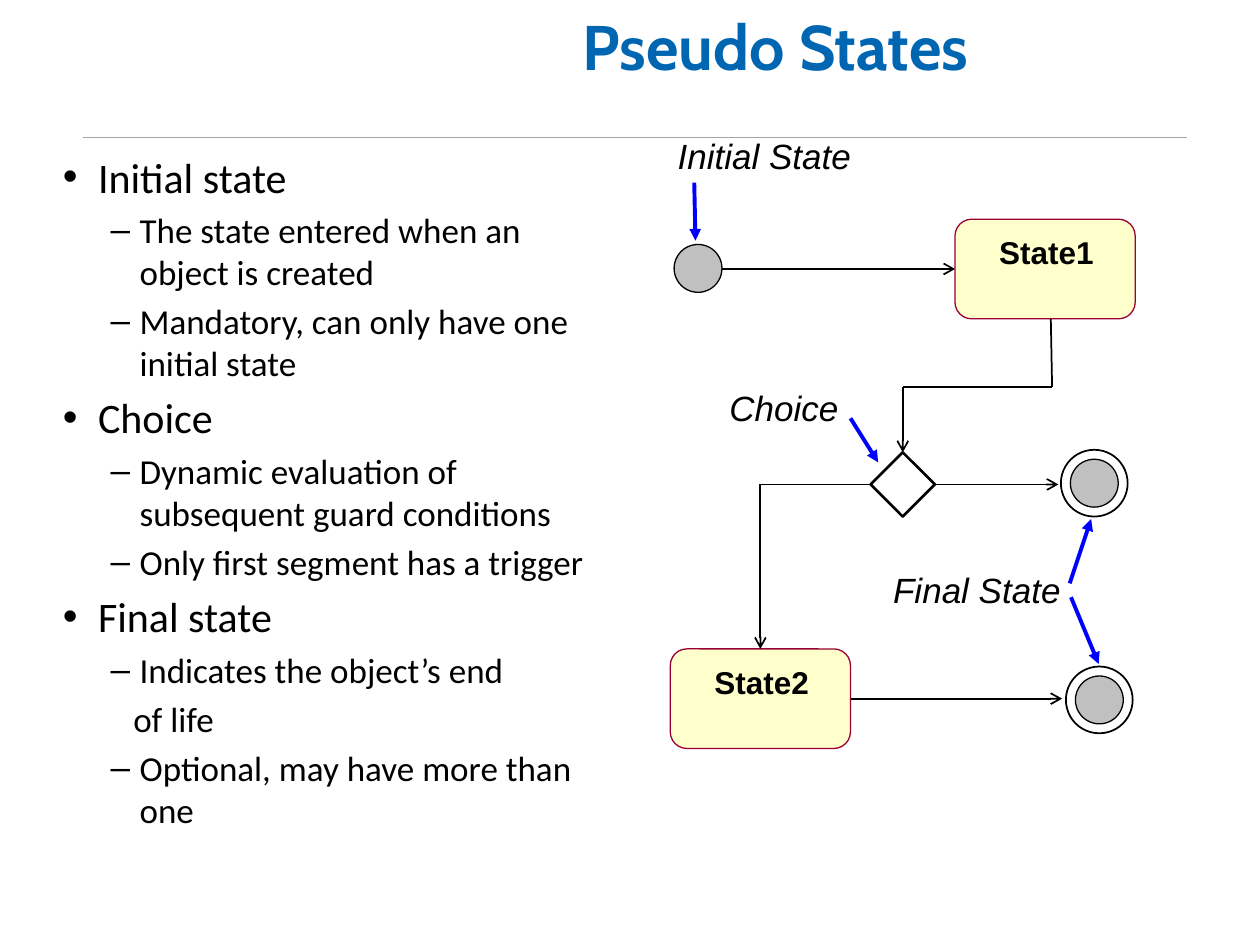
from lxml.etree import SubElement
from pptx import Presentation
from pptx.dml.color import RGBColor
from pptx.enum.shapes import MSO_CONNECTOR, MSO_SHAPE as Shape
from pptx.enum.text import MSO_ANCHOR, PP_ALIGN as Align
from pptx.oxml.ns import qn
from pptx.util import Inches, Pt

# Content
TITLE = "Pseudo States"
# (style, text)
OUTLINE = [
    ("topic", "Initial state"),
    ("point", "The state entered when an object is created"),
    ("point", "Mandatory, can only have one initial state"),
    ("topic", "Choice"),
    ("point", "Dynamic evaluation of subsequent guard conditions"),
    ("point", "Only first segment has a trigger"),
    ("topic", "Final state"),
    ("point", "Indicates the object’s end"),
    ("more", "of life"),
    ("point", "Optional, may have more than one"),
]
# style: (size, left margin, first-line indent, bullet)
STYLES = {
    "topic": (24, 0.28, -0.28, "•"),
    "point": (20, 0.61, -0.23, "–"),
    "more": (20, 0.61, -0.05, None),
}
STATES = {"State1": (7.58, 1.74), "State2": (5.32, 5.15)}
FINALS = [(8.42, 3.57), (8.46, 5.29)]
CAPTIONS = [
    ("Initial State", 5.28, 1.02, 1.8),
    ("Choice", 5.69, 3.02, 1.2),
    ("Final State", 6.99, 4.46, 1.7),
]
POINTERS = [
    ((5.51, 1.45), (5.52, 1.91)),
    ((6.75, 3.32), (6.97, 3.67)),
    ((8.5, 4.74), (8.72, 5.27)),
    ((8.49, 4.63), (8.66, 4.12)),
]

COLORS = {
    "title": "0066B2", "rule": "A6A6A6", "ink": "000000", "pointer": "0000FF",
    "state": "FFFFCC", "state_edge": "990033", "core": "C0C0C0",
}
STATE_W, STATE_H = 1.43, 0.79
CORE, RING, DIAMOND = 0.38, 0.53, 0.51
CHOICE_X, CHOICE_Y = 6.91, 3.59
TOP, LEFT, BOTTOM, RIGHT = range(4)

prs = Presentation()
prs.slide_width, prs.slide_height = Inches(10), Inches(7.5)
slide = prs.slides.add_slide(prs.slide_layouts[6])


def rgb(name):
    return RGBColor.from_string(COLORS[name])


def add_text(text, x, y, w, h, size, font="Arial", color="ink",
             bold=False, italic=False, align=Align.LEFT):
    frame = slide.shapes.add_textbox(*map(Inches, (x, y, w, h))).text_frame
    frame.word_wrap = True
    frame.vertical_anchor = MSO_ANCHOR.TOP
    frame.text = text
    for paragraph in frame.paragraphs:
        paragraph.alignment = align
        face = paragraph.runs[0].font
        face.name, face.size = font, Pt(size)
        face.bold, face.italic = bold, italic
        face.color.rgb = rgb(color)
    return frame


def add_node(kind, x, y, w, h, fill=None, edge="ink", weight=0.75):
    node = slide.shapes.add_shape(kind, *map(Inches, (x, y, w, h)))
    node.shadow.inherit = False
    if fill:
        node.fill.solid()
        node.fill.fore_color.rgb = rgb(fill)
    else:
        node.fill.background()
    node.line.color.rgb = rgb(edge)
    node.line.width = Pt(weight)
    return node


def add_line(start, end, color="ink", weight=1, arrow=None, source=None, target=None):
    line = slide.shapes.add_connector(
        MSO_CONNECTOR.STRAIGHT, *map(Inches, (*start, *end)))
    line.line.color.rgb = rgb(color)
    line.line.width = Pt(weight)
    if arrow:
        SubElement(line.line._get_or_add_ln(), qn("a:tailEnd"), type=arrow)
    SubElement(line._element.spPr, qn("a:effectLst"))
    if source:
        line.begin_connect(*source)
    if target:
        line.end_connect(*target)


# Title and rule
add_line((0.66, 1.09), (9.42, 1.09), "rule", 0.75)
add_text(TITLE, 2.43, 0.01, 7.45, 1.15, 36, "Cabin", "title", bold=True, align=Align.CENTER)

# Outline
outline = add_text("\n".join(text for _, text in OUTLINE),
                   0.4, 1.15, 4.56, 5.52, 20, "Calibri")
for paragraph, (style, _) in zip(outline.paragraphs, OUTLINE):
    size, margin, indent, bullet = STYLES[style]
    paragraph.runs[0].font.size = Pt(size)
    paragraph.space_before = Pt(size * 0.2)
    props = paragraph._p.get_or_add_pPr()
    props.set("marL", str(Inches(margin)))
    props.set("indent", str(Inches(indent)))
    if bullet:
        SubElement(props, qn("a:buFont"), typeface="Arial")
        SubElement(props, qn("a:buChar"), char=bullet)
    else:
        SubElement(props, qn("a:buNone"))

# States, initial state, choice and final states
states = {}
for name, (x, y) in STATES.items():
    states[name] = add_node(Shape.ROUNDED_RECTANGLE, x, y, STATE_W, STATE_H,
                            "state", "state_edge")
    add_text(name, x + 0.14, y + 0.06, 1.17, 0.4, 18, bold=True, align=Align.CENTER)
add_node(Shape.OVAL, 5.35, 1.94, CORE, CORE, "core")
choice = add_node(Shape.DIAMOND, CHOICE_X, CHOICE_Y, DIAMOND, DIAMOND, weight=1.5)
for x, y in FINALS:
    inset = (RING - CORE) / 2
    add_node(Shape.OVAL, x + inset, y + inset, CORE, CORE, "core")
    add_node(Shape.OVAL, x, y, RING, RING, weight=1)

# Transitions, level with the middles of the nodes they join
state1, state2 = states["State1"], states["State2"]
row1, row2 = (y + STATE_H / 2 for _, y in STATES.values())
state2_x, state2_y = STATES["State2"]
state2_mid = state2_x + STATE_W / 2
choice_mid, choice_row = CHOICE_X + DIAMOND / 2, CHOICE_Y + DIAMOND / 2
bend = 3.07

add_line((5.73, row1), (7.58, row1), arrow="arrow", target=(state1, LEFT))
add_line((8.34, 2.53), (8.35, bend))
add_line((8.35, bend), (choice_mid, bend))
add_line((choice_mid, bend), (choice_mid, CHOICE_Y), arrow="arrow", target=(choice, TOP))
add_line((CHOICE_X + DIAMOND, choice_row), (8.4, choice_row), arrow="arrow",
         source=(choice, RIGHT))
add_line((CHOICE_X, choice_row), (state2_mid, choice_row), source=(choice, LEFT))
add_line((state2_mid, choice_row), (state2_mid, state2_y), arrow="arrow",
         target=(state2, TOP))
add_line((state2_x + STATE_W, row2), (8.43, row2), arrow="arrow", source=(state2, RIGHT))

# Captions and their pointers
for caption, x, y, w in CAPTIONS:
    add_text(caption, x, y, w, 0.43, 20, italic=True)
for start, end in POINTERS:
    add_line(start, end, "pointer", 2.25, "triangle")

prs.save("out.pptx")
